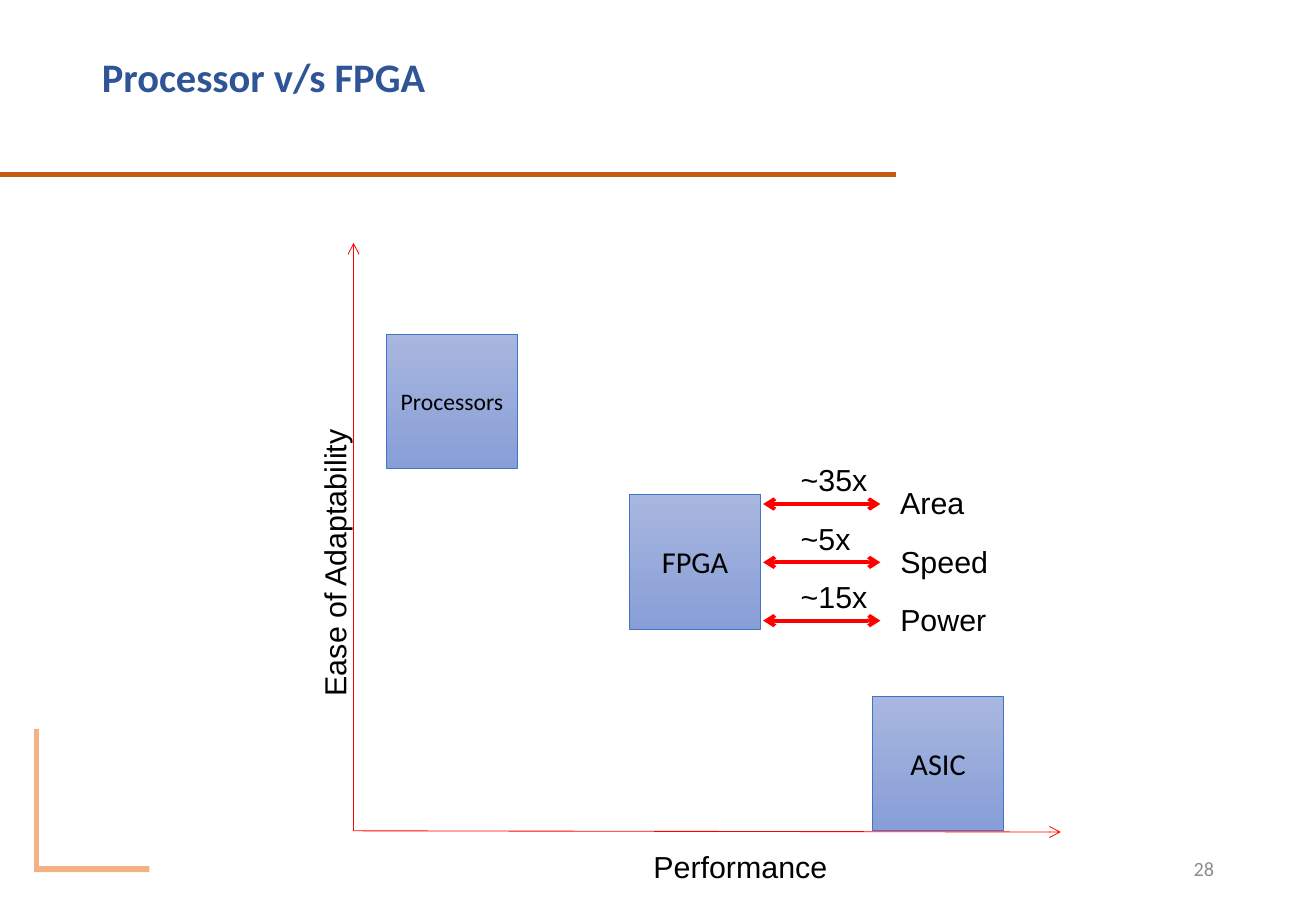
import pptx
import pptx.dml.color
import pptx.enum.shapes
import pptx.enum.text
import pptx.util
import lxml.etree

RGBColor = pptx.dml.color.RGBColor
ALIGN = pptx.enum.text.PP_ALIGN
ANCHOR = pptx.enum.text.MSO_ANCHOR
RECTANGLE = pptx.enum.shapes.MSO_SHAPE.RECTANGLE
STRAIGHT = pptx.enum.shapes.MSO_CONNECTOR.STRAIGHT

BLACK = RGBColor(0x00, 0x00, 0x00)
RED = RGBColor(0xFF, 0x00, 0x00)
NAVY = RGBColor(0x2F, 0x55, 0x97)
BLUE = RGBColor(0x44, 0x72, 0xC4)
LIGHT_BLUE = RGBColor(0xA8, 0xB7, 0xDF)
MID_BLUE = RGBColor(0x88, 0x9E, 0xD7)
RUST = RGBColor(0xC5, 0x5A, 0x11)
PEACH = RGBColor(0xF4, 0xB1, 0x83)
GREY = RGBColor(0x8C, 0x8C, 0x8C)

deck = pptx.Presentation()
deck.slide_width = pptx.util.Inches(10.83)
deck.slide_height = pptx.util.Inches(7.5)
page = deck.slides.add_slide(deck.slide_layouts[6])

# All positions are percent of the slide's width and height
COLUMN = deck.slide_width / 100
ROW = deck.slide_height / 100


def write(box, text, size, font="Arial", color=BLACK, align=ALIGN.LEFT,
          anchor=ANCHOR.TOP, wrap=False):
    frame = box.text_frame
    frame.word_wrap = wrap
    frame.vertical_anchor = anchor
    para = frame.paragraphs[0]
    para.alignment = align
    span = para.add_run()
    span.text = text
    span.font.size = pptx.util.Pt(size)
    span.font.name = font
    span.font.color.rgb = color
    return span


def draw_line(x1, y1, x2, y2, color, width, ends=()):
    line = page.shapes.add_connector(
        STRAIGHT, int(x1 * COLUMN), int(y1 * ROW), int(x2 * COLUMN), int(y2 * ROW))
    line.line.color.rgb = color
    line.line.width = pptx.util.Pt(width)
    outline = line.line._get_or_add_ln()
    for end in ends:
        lxml.etree.SubElement(outline, pptx.oxml.ns.qn("a:" + end), type="arrow")
    lxml.etree.SubElement(line._element.spPr, pptx.oxml.ns.qn("a:effectLst"))


# Corner bracket
for left, top, width, height in [(2.59, 95.07, 8.77, 0.67), (2.59, 80, 0.37, 15.6)]:
    bar = page.shapes.add_shape(RECTANGLE, int(left * COLUMN), int(top * ROW),
                                int(width * COLUMN), int(height * ROW))
    bar.shadow.inherit = False
    bar.fill.solid()
    bar.fill.fore_color.rgb = PEACH
    bar.line.fill.background()

# Title and rule
draw_line(-0.09, 19.2, 68.05, 19.2, RUST, 3)
title = page.shapes.add_textbox(int(6.83 * COLUMN), int(4.53 * ROW),
                                int(68.14 * COLUMN), int(8.27 * ROW))
title_span = write(title, "Processor v/s FPGA", 24, "Calibri", NAVY,
                   anchor=ANCHOR.MIDDLE, wrap=True)
title_span.font.bold = True
title.text_frame.paragraphs[0].line_spacing = 0.9

# Device blocks, evenly stepped along the performance axis
devices = [("Processors", 36.67, 14), ("FPGA", 54.27, 18), ("ASIC", 76.4, 18)]
for step, (name, top, size) in enumerate(devices):
    block = page.shapes.add_shape(
        RECTANGLE, int((29.36 + 18.47 * step) * COLUMN), int(top * ROW),
        int(9.97 * COLUMN), int(14.8 * ROW))
    block.shadow.inherit = False
    block.fill.gradient()
    block.fill.gradient_angle = 270
    for stop, color in zip(block.fill.gradient_stops, (LIGHT_BLUE, MID_BLUE)):
        stop.color.rgb = color
    block.line.color.rgb = BLUE
    block.line.width = pptx.util.Pt(0.5)
    write(block, name, size, "Calibri", align=ALIGN.CENTER, anchor=ANCHOR.MIDDLE)

# Axes from a shared origin
ORIGIN_X, ORIGIN_Y = 26.87, 91.2
draw_line(ORIGIN_X, ORIGIN_Y, ORIGIN_X, 26.67, RED, 0.5, ["tailEnd"])
draw_line(ORIGIN_X, ORIGIN_Y, 80.61, 91.33, RED, 0.5, ["tailEnd"])

# Arrows comparing FPGA with ASIC
labels = [("Ease of Adaptability", 14.22, 58.93, 22.35, 270),
          ("Performance", 48.75, 92.4, 15.24, 0)]
comparisons = [("~35x", 7.02, "Area", 6.74), ("~5x", 5.72, "Speed", 8.59),
               ("~15x", 7.02, "Power", 8.49)]
for step, (ratio, ratio_width, measure, measure_width) in enumerate(comparisons):
    level = 55.33 + 6.4 * step
    draw_line(57.99, level, 66.9, level, RED, 2.25, ["headEnd", "tailEnd"])
    labels.append((ratio, 59.93, level - 5.33, ratio_width, 0))
    labels.append((measure, 67.5, level - 2.8, measure_width, 0))

# Axis and comparison labels
for text, left, top, width, turn in labels:
    label = page.shapes.add_textbox(int(left * COLUMN), int(top * ROW),
                                    int(width * COLUMN), int(5.33 * ROW))
    label.rotation = turn
    write(label, text, 18)

# Page number
number = page.shapes.add_textbox(int(70.64 * COLUMN), int(92.67 * ROW),
                                 int(22.53 * COLUMN), int(5.33 * ROW))
write(number, "28", 12, "Calibri", GREY, ALIGN.RIGHT, ANCHOR.MIDDLE, True)

deck.save("out.pptx")
